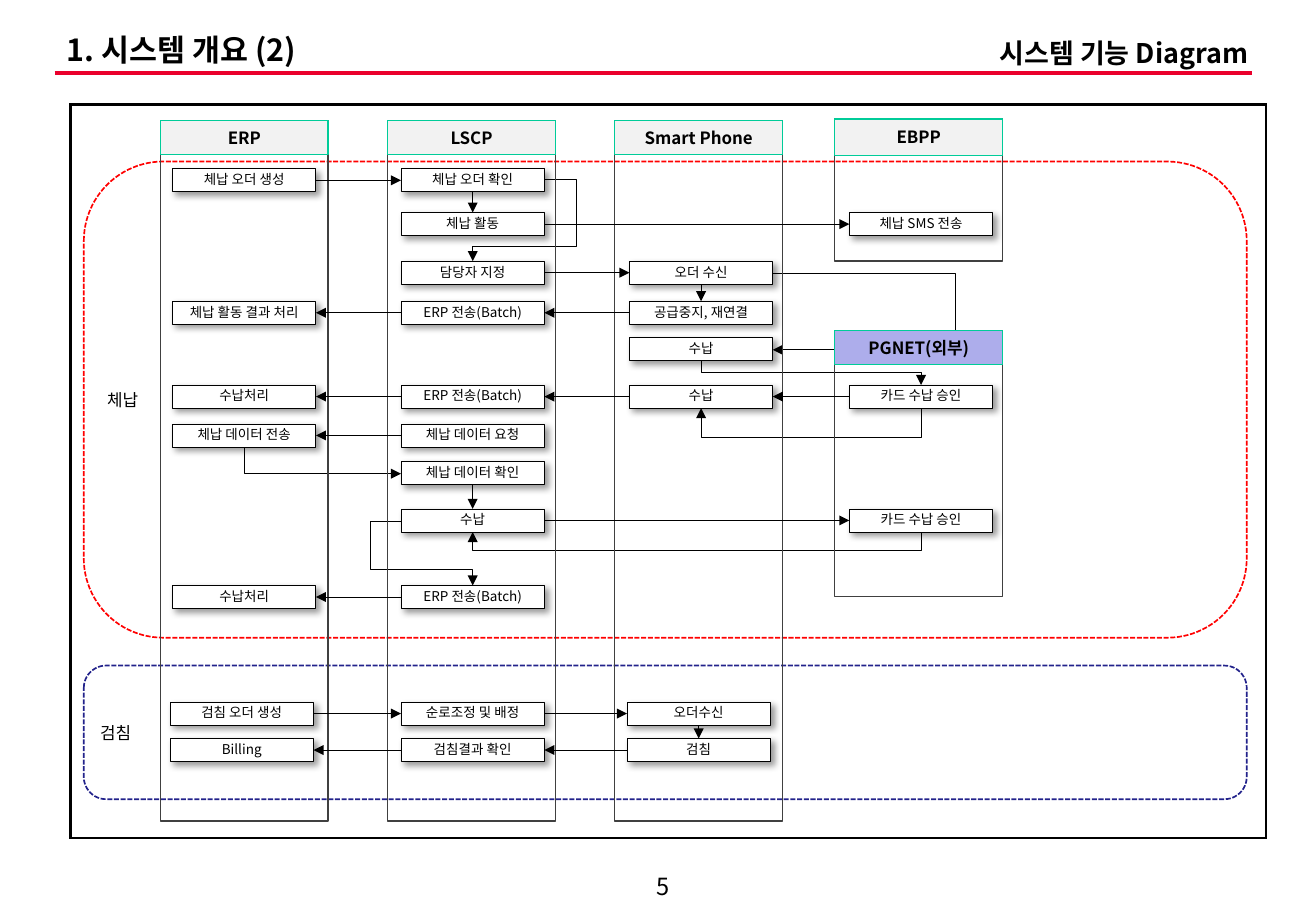
from itertools import groupby

from lxml.etree import SubElement
from pptx import Presentation
from pptx.dml.color import RGBColor
from pptx.enum.dml import MSO_LINE
from pptx.enum.shapes import MSO_CONNECTOR, MSO_SHAPE
from pptx.enum.text import MSO_ANCHOR, PP_ALIGN
from pptx.oxml.ns import qn
from pptx.util import Inches, Pt

FONT = "Noto Sans CJK KR"
BLACK, WHITE = "000000", "FFFFFF"
TITLE, SUBTITLE, PAGE = "1. 시스템 개요 (2)", "시스템 기능 Diagram", "5"

# system, left, top, height, header height, header colour
LANES = [
    ("ERP", 1.32, 0.99, 5.77, 0.28, "F2F2F2"),
    ("LSCP", 3.19, 0.99, 5.77, 0.28, "F2F2F2"),
    ("Smart Phone", 5.06, 0.99, 5.77, 0.28, "F2F2F2"),
    ("EBPP", 6.87, 0.98, 1.17, 0.3, "F2F2F2"),
    ("PGNET(외부)", 6.87, 2.72, 2.19, 0.28, "ADADEB"),
]
LANE_WIDTH = 1.38

# label, top, height, colour, left inset
ZONES = [("체납", 1.33, 3.92, "FF0000", 0), ("검침", 5.48, 1.1, "22228B", 0.08)]

# row: top, steps by column
ERP, LSCP, PHONE, OUTSIDE = range(4)
ROWS = {
    "order": (1.39, {ERP: "체납 오더 생성", LSCP: "체납 오더 확인"}),
    "action": (1.75, {LSCP: "체납 활동", OUTSIDE: "체납 SMS 전송"}),
    "assign": (2.15, {LSCP: "담당자 지정", PHONE: "오더 수신"}),
    "result": (2.48, {ERP: "체납 활동 결과 처리", LSCP: "ERP 전송(Batch)",
                      PHONE: "공급중지, 재연결"}),
    "collect": (2.78, {PHONE: "수납"}),
    "card": (3.17, {ERP: "수납처리", LSCP: "ERP 전송(Batch)", PHONE: "수납",
                    OUTSIDE: "카드 수납 승인"}),
    "request": (3.49, {ERP: "체납 데이터 전송", LSCP: "체납 데이터 요청"}),
    "check": (3.8, {LSCP: "체납 데이터 확인"}),
    "payment": (4.19, {LSCP: "수납", OUTSIDE: "카드 수납 승인"}),
    "settle": (4.82, {ERP: "수납처리", LSCP: "ERP 전송(Batch)"}),
    "meter": (5.78, {ERP: "검침 오더 생성", LSCP: "순로조정 및 배정", PHONE: "오더수신"}),
    "billing": (6.08, {ERP: "Billing", LSCP: "검침결과 확인", PHONE: "검침"}),
}
STEP_LEFTS = [1.42, 3.3, 5.18, 6.99]
METER_LEFTS = [1.4, 3.3, 5.16]
STEP_WIDTH, STEP_HEIGHT = 1.18, 0.19

# row, columns in the order of the flow
ROW_FLOWS = [
    ("order", (ERP, LSCP)), ("action", (LSCP, OUTSIDE)), ("assign", (LSCP, PHONE)),
    ("result", (PHONE, LSCP, ERP)), ("card", (OUTSIDE, PHONE, LSCP, ERP)),
    ("request", (LSCP, ERP)), ("payment", (LSCP, OUTSIDE)), ("settle", (LSCP, ERP)),
    ("meter", (ERP, LSCP, PHONE)), ("billing", (PHONE, LSCP, ERP)),
]
# column, upper row, lower row
DOWN_FLOWS = [(LSCP, "order", "action"), (PHONE, "assign", "result"),
              (LSCP, "check", "payment"), (PHONE, "meter", "billing")]

# connection sites of a rectangle
TOP, LEFT, BOTTOM, RIGHT = range(4)
# start step and side, turns, end step and side
ELBOWS = [
    (("assign", PHONE, RIGHT), [("x", 7.86)], ("collect", PHONE, RIGHT)),
    (("collect", PHONE, BOTTOM), [("y", 3.07)], ("card", OUTSIDE, TOP)),
    (("card", OUTSIDE, BOTTOM), [("y", 3.6)], ("card", PHONE, BOTTOM)),
    (("request", ERP, BOTTOM), [("x", 2.01)], ("check", LSCP, LEFT)),
    (("payment", OUTSIDE, BOTTOM), [("y", 4.53)], ("payment", LSCP, BOTTOM)),
    (("payment", LSCP, LEFT), [("x", 3.05), ("y", 4.69)], ("settle", LSCP, TOP)),
    (("order", LSCP, RIGHT), [("x", 4.74), ("y", 2.03)], ("assign", LSCP, TOP)),
]


def rgb(value):
    """Turn a hex string into a colour."""
    return RGBColor.from_string(value)


def write(holder, text, size, bold=False, align=PP_ALIGN.CENTER, insets=(0.04, 0.05), spacing=1):
    """Put one formatted run in a shape, centred vertically."""
    frame = holder.text_frame
    frame.word_wrap = True
    frame.vertical_anchor = MSO_ANCHOR.MIDDLE
    frame.margin_left = frame.margin_right = Inches(insets[0])
    frame.margin_top = frame.margin_bottom = Inches(insets[1])
    paragraph = frame.paragraphs[0]
    paragraph.alignment, paragraph.line_spacing = align, spacing
    run = paragraph.add_run()
    run.text = text
    run.font.size, run.font.bold = Pt(size), bold
    run.font.color.rgb = rgb(BLACK)
    run.font.name = FONT
    SubElement(run.font.color and run._r.get_or_add_rPr(), qn("a:ea"), typeface=FONT)


def stroke(part, colour, width):
    """Set the line of a shape or connector."""
    part.line.color.rgb = rgb(colour)
    part.line.width = Pt(width)


def block(kind, left, top, width, height, line, line_width, fill=None):
    """Add a flat shape, unfilled unless a colour is given."""
    shape = slide.shapes.add_shape(kind, *map(Inches, (left, top, width, height)))
    shape.shadow.inherit = False
    stroke(shape, line, line_width)
    if fill:
        shape.fill.solid()
        shape.fill.fore_color.rgb = rgb(fill)
    else:
        shape.fill.background()
    return shape


def straight(start, end, colour, width):
    """Add a straight connector without a shadow."""
    line = slide.shapes.add_connector(MSO_CONNECTOR.STRAIGHT, *map(Inches, start + end))
    stroke(line, colour, width)
    SubElement(line.element.spPr, qn("a:effectLst"))
    return line


def arrowhead(part):
    """Put a triangle at the end of a line."""
    SubElement(part.element.spPr.find(qn("a:ln")), qn("a:tailEnd"), type="triangle")


def cast_shadow(step):
    """Give a step its soft shadow to the lower right."""
    effects = step.element.spPr.find(qn("a:effectLst"))
    shadow = SubElement(effects, qn("a:outerShdw"), blurRad=str(Pt(4)), dist=str(Pt(3)),
                        dir="2700000", algn="tl", rotWithShape="0")
    tint = SubElement(shadow, qn("a:srgbClr"), val=BLACK)
    SubElement(tint, qn("a:alpha"), val="40000")


def step_corner(row, column):
    """Return the left and top of a step."""
    lefts = METER_LEFTS if row in ("meter", "billing") else STEP_LEFTS
    return lefts[column], ROWS[row][0]


def side_point(row, column, side):
    """Return the middle of one side of a step."""
    left, top = step_corner(row, column)
    across, down = {TOP: (0.5, 0), LEFT: (0, 0.5), BOTTOM: (0.5, 1), RIGHT: (1, 0.5)}[side]
    return round(left + across * STEP_WIDTH, 2), round(top + down * STEP_HEIGHT, 2)


def elbow(start, turns, end):
    """Draw an arrow that runs through its turns in right angles."""
    points, target = [side_point(*start)], side_point(*end)
    for axis, value in turns:
        x, y = points[-1]
        points.append((value, y) if axis == "x" else (x, value))
    x, y = points[-1]
    points += [(x, target[1]) if axis == "x" else (target[0], y), target]
    points = [tuple(map(Inches, point)) for point, _ in groupby(points)]
    builder = slide.shapes.build_freeform(*points[0])
    builder.add_line_segments(points[1:], close=False)
    route = builder.convert_to_shape()
    route.shadow.inherit = False
    route.fill.background()
    stroke(route, BLACK, 0.5)
    arrowhead(route)


def flow(start, start_side, end, end_side):
    """Join two steps with a straight arrow."""
    line = straight((0, 0), (1, 1), BLACK, 0.5)
    line.begin_connect(steps[start], start_side)
    line.end_connect(steps[end], end_side)
    arrowhead(line)


deck = Presentation()
deck.slide_width, deck.slide_height = Inches(10.83), Inches(7.5)
slide = deck.slides.add_slide(deck.slide_layouts[5])

heading = slide.shapes.title
heading.left, heading.top, heading.width, heading.height = map(Inches, (0.45, 0.24, 7, 0.37))
write(heading, TITLE, 18, True, PP_ALIGN.LEFT, (0.1, 0.05), 0.9)
subtitle = slide.shapes.add_textbox(*map(Inches, (7.63, 0.25, 2.74, 0.37)))
write(subtitle, SUBTITLE, 16, True, PP_ALIGN.RIGHT, (0.1, 0.05))
page = slide.shapes.add_textbox(*map(Inches, (5.1, 7.14, 0.71, 0.31)))
write(page, PAGE, 14)
straight((0.45, 0.6), (10.3, 0.6), "EA002C", 2.25)

border = slide.shapes.add_table(1, 1, *map(Inches, (0.58, 0.86, 9.84, 6.04))).table.cell(0, 0)
border.fill.solid()
border.fill.fore_color.rgb = rgb(WHITE)
for position, edge in enumerate(("a:lnL", "a:lnR", "a:lnT", "a:lnB")):
    edge_line = SubElement(border._tc.tcPr, qn(edge), w=str(Pt(1.5)))
    SubElement(SubElement(edge_line, qn("a:solidFill")), qn("a:srgbClr"), val=BLACK)
    border._tc.tcPr.insert(position, edge_line)

for label, top, height, colour, inset in ZONES:
    zone = block(MSO_SHAPE.ROUNDED_RECTANGLE, 0.69, top, 9.57, height, colour, 1)
    zone.line.dash_style = MSO_LINE.SQUARE_DOT
    write(zone, label, 10, align=PP_ALIGN.LEFT, insets=(inset, 0))
for route_ends in ELBOWS:
    elbow(*route_ends)
for system, left, top, height, header_height, colour in LANES:
    block(MSO_SHAPE.RECTANGLE, left, top, LANE_WIDTH, height, "404040", 0.75)
    header = block(MSO_SHAPE.RECTANGLE, left, top, LANE_WIDTH, header_height, "00CC99", 0.75, colour)
    write(header, system, 10, True)

steps = {}
for row, (_, labels) in ROWS.items():
    for column, label in labels.items():
        step = block(MSO_SHAPE.RECTANGLE, *step_corner(row, column), STEP_WIDTH, STEP_HEIGHT,
                     BLACK, 0.5, WHITE)
        cast_shadow(step)
        write(step, label, 8, insets=(0.02, 0.04), spacing=0.9)
        steps[row, column] = step
for row, columns in ROW_FLOWS:
    for origin, target in zip(columns, columns[1:]):
        sides = (RIGHT, LEFT) if origin < target else (LEFT, RIGHT)
        flow((row, origin), sides[0], (row, target), sides[1])
for column, upper, lower in DOWN_FLOWS:
    flow((upper, column), BOTTOM, (lower, column), TOP)

deck.save("out.pptx")
